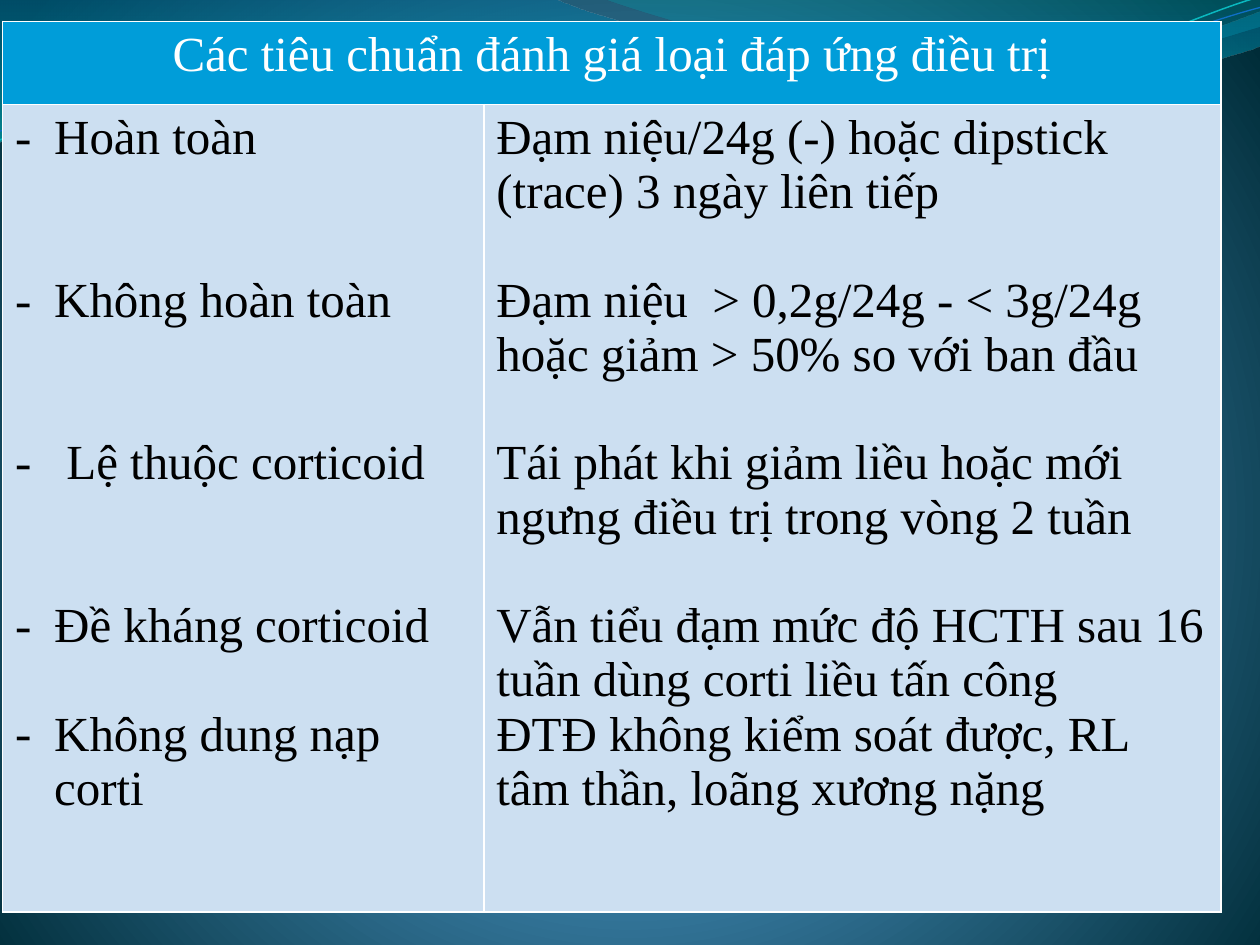
import math
from pptx import Presentation
from pptx import util as u
from pptx.dml.color import RGBColor
from pptx.enum import text
from pptx.oxml import parse_xml
from pptx.oxml.ns import nsdecls, qn

FONT, SIZE = "Times New Roman", 28
LINE = 31  # height of one text line, in points
TILT = 357.3  # turn of the thin curves, in degrees
HUES = {
    "white": "FFFFFF", "black": "000000", "head": "009DD9", "body": "CCDFF1",
    "glow": "4AA0D6", "mid": "4C98C7", "deep": "002C38",
    "blue": "0074A1", "cyan": "00C6CF", "teal": "00A1A9", "sky": "008BBF",
    "aqua": "0AB8BF", "navy": "0F6FC6",
}
TITLE = "Các tiêu chuẩn đánh giá loại đáp ứng điều trị"
# Each row: text, empty lines above it
KINDS = [("Hoàn toàn", 0), ("Không hoàn toàn", 2), (" Lệ thuộc corticoid", 2),
         ("Đề kháng corticoid", 2), ("Không dung nạp corti", 1)]
RULES = [("Đạm niệu/24g (-) hoặc dipstick (trace) 3 ngày liên tiếp", 0),
         ("Đạm niệu  > 0,2g/24g - < 3g/24g hoặc giảm > 50% so với ban đầu", 1),
         ("Tái phát khi giảm liều hoặc mới ngưng điều trị trong vòng 2 tuần", 1),
         ("Vẫn tiểu đạm mức độ HCTH sau 16 tuần dùng corti liều tấn công", 1),
         ("ĐTĐ không kiểm soát được, RL tâm thần, loãng xương nặng", 0)]

# Outlines in grid units: a pair is a line, six numbers are a curve
BANDS = [
    ([(0, 0), (4.4, -0.01), (4.76, 0.17, 6.64, 0.63, 7.58, 0.63),
      (8.53, 0.63, 9.58, 0.26, 10, 0.09), (10.01, 0.36),
      (9.83, 0.44, 8.7, 0.76, 7.46, 0.75), (6.22, 0.75, 3.82, 0.28, 2.57, 0.34),
      (1.29, 0.36, 0.46, 0.83, -0.01, 1.13), (0, 0)],
     [(0, "blue", 45), (100, "cyan", 55)]),
    ([(4.79, -0.01), (5.09, 0.11, 6.82, 0.62, 7.69, 0.65),
      (8.56, 0.69, 9.61, 0.32, 10, 0.21), (10, 0), (4.79, -0.01)],
     [(0, "teal", 30), (80, "sky", 45)]),
]
# Each curve: outline, centre of turn, hue, width
CURVES = [
    ([(0, 1.11), (0.48, 0.93, 1.58, 0.57, 2.77, 0.52),
      (3.95, 0.47, 5.93, 0.89, 7.13, 0.8), (8.33, 0.71, 9.38, 0.15, 9.98, -0.02)],
     (4.99, 0.57), "aqua", 0.85),
    ([(0, 1.04), (0.47, 0.96, 1.64, 0.61, 2.83, 0.56),
      (4.03, 0.51, 5.97, 0.84, 7.17, 0.75), (8.36, 0.67, 9.41, 0.21, 10, 0.06)],
     (5, 0.59), "navy", 0.75),
]

deck = Presentation()
deck.slide_width, deck.slide_height = u.Inches(10), u.Inches(7.5)
COL, ROW = deck.slide_width / 10, deck.slide_height / 7.5


def rgb(name):
    return RGBColor.from_string(HUES[name])


def blend(fill, host, stops, shade):
    """Give fill, held in host, a gradient of (place, hue, opacity) stops."""
    fill.gradient()
    old = host.find(".//" + qn("a:gradFill"))
    marks = "".join(
        f'<a:gs pos="{pos * 1000}"><a:srgbClr val="{HUES[hue]}">'
        f'<a:alpha val="{alpha * 1000}"/></a:srgbClr></a:gs>'
        for pos, hue, alpha in stops)
    new = parse_xml(f'<a:gradFill {nsdecls("a")} rotWithShape="1">'
                    f'<a:gsLst>{marks}</a:gsLst>{shade}</a:gradFill>')
    old.getparent().replace(old, new)


def level(steps, mid):
    """Undo the tilt of an outline about its centre."""
    cos, sin = math.cos(math.radians(-TILT)), math.sin(math.radians(-TILT))
    flat = []
    for step in steps:
        nums = []
        for x, y in zip(step[::2], step[1::2]):
            dx, dy = x - mid[0], y - mid[1]
            nums += [mid[0] + dx * cos - dy * sin, mid[1] + dx * sin + dy * cos]
        flat.append(nums)
    return flat


def draw(slide, box, steps, close):
    pts = [(int((box[0] + x) * COL), int((box[1] + y) * ROW))
           for step in steps for x, y in zip(step[::2], step[1::2])]
    pen = slide.shapes.build_freeform(*pts[0])
    pen.add_line_segments(pts[1:], close=close)
    shape = pen.convert_to_shape()
    shape.shadow.inherit = False
    lines = iter(list(shape._element.iter(qn("a:lnTo"))))
    for step in steps[1:]:
        first = next(lines)
        if len(step) == 6:
            bend = parse_xml(f'<a:cubicBezTo {nsdecls("a")}/>')
            first.addprevious(bend)
            for line in (first, next(lines), next(lines)):
                bend.append(line[0])
                line.getparent().remove(line)
    return shape


def waves(slide, box):
    for steps, stops in BANDS:
        band = draw(slide, box, steps, True)
        blend(band.fill, band._element.spPr, stops, '<a:lin ang="5400000" scaled="1"/>')
        band.line.fill.background()
    for steps, mid, hue, width in CURVES:
        curve = draw(slide, box, level(steps, mid), False)
        curve.rotation = TILT
        curve.fill.background()
        curve.line.color.rgb = rgb(hue)
        curve.line.width = u.Pt(width)


def edge(cell):
    """Draw thin white borders on all four sides."""
    props = cell._tc.get_or_add_tcPr()
    for i, side in enumerate("LRTB"):
        props.insert(i, parse_xml(
            f'<a:ln{side} {nsdecls("a")} w="{u.Pt(1)}"><a:solidFill>'
            f'<a:srgbClr val="{HUES["white"]}"/></a:solidFill></a:ln{side}>'))


def write(cell, rows, hue, align=text.PP_ALIGN.LEFT, dash=False):
    frame = cell.text_frame
    for i, (words, gap) in enumerate(rows):
        para = frame.add_paragraph() if i else frame.paragraphs[0]
        if dash:
            props = para._p.get_or_add_pPr()
            for key, val in (("marL", u.Inches(0.31)), ("indent", -u.Inches(0.31))):
                props.set(key, str(val))
            for mark in (f'buFont {nsdecls("a")} typeface="{FONT}"',
                         f'buChar {nsdecls("a")} char="-"'):
                props.append(parse_xml(f"<a:{mark}/>"))
        para.alignment = align
        if gap:
            para.space_before = u.Pt(gap * LINE)
        run = para.add_run()
        run.text = words
        form = {"name": FONT, "size": u.Pt(SIZE), "bold": False}
        for key, val in form.items():
            setattr(run.font, key, val)
        run.font.color.rgb = rgb(hue)


def chart(slide, box, cols, rows):
    """Place the table of response types in box."""
    x, y, w, h = box
    frame = slide.shapes.add_table(2, 2, int(x * COL), int(y * ROW),
                                   int(w * COL), int(h * ROW))
    grid = frame.table
    grid.horz_banding = False
    for item, share in zip(grid.columns, cols):
        item.width = int(share * COL)
    for item, share in zip(grid.rows, rows):
        item.height = int(share * ROW)
    for r, hue in enumerate(("head", "body")):
        for c in (0, 1):
            cell = grid.cell(r, c)
            cell.fill.solid()
            cell.fill.fore_color.rgb = rgb(hue)
            edge(cell)
    grid.cell(0, 0).merge(grid.cell(0, 1))
    write(grid.cell(0, 0), [(TITLE, 0)], "white", text.PP_ALIGN.CENTER)
    write(grid.cell(1, 0), KINDS, "black", dash=True)
    write(grid.cell(1, 1), RULES, "black")


def main():
    slide = deck.slides.add_slide(deck.slide_layouts[6])
    blend(slide.background.fill, slide._element.cSld,
          [(0, "glow", 100), (25, "mid", 100), (100, "deep", 100)],
          '<a:path path="circle"><a:fillToRect l="10000" t="110000" '
          'r="10000" b="100000"/></a:path>')
    waves(slide, (0, 0))
    chart(slide, (0.02, 0.17, 9.67, 7.07), (3.82, 5.85), (0.66, 6.41))
    deck.save("out.pptx")


if __name__ == "__main__":
    main()
